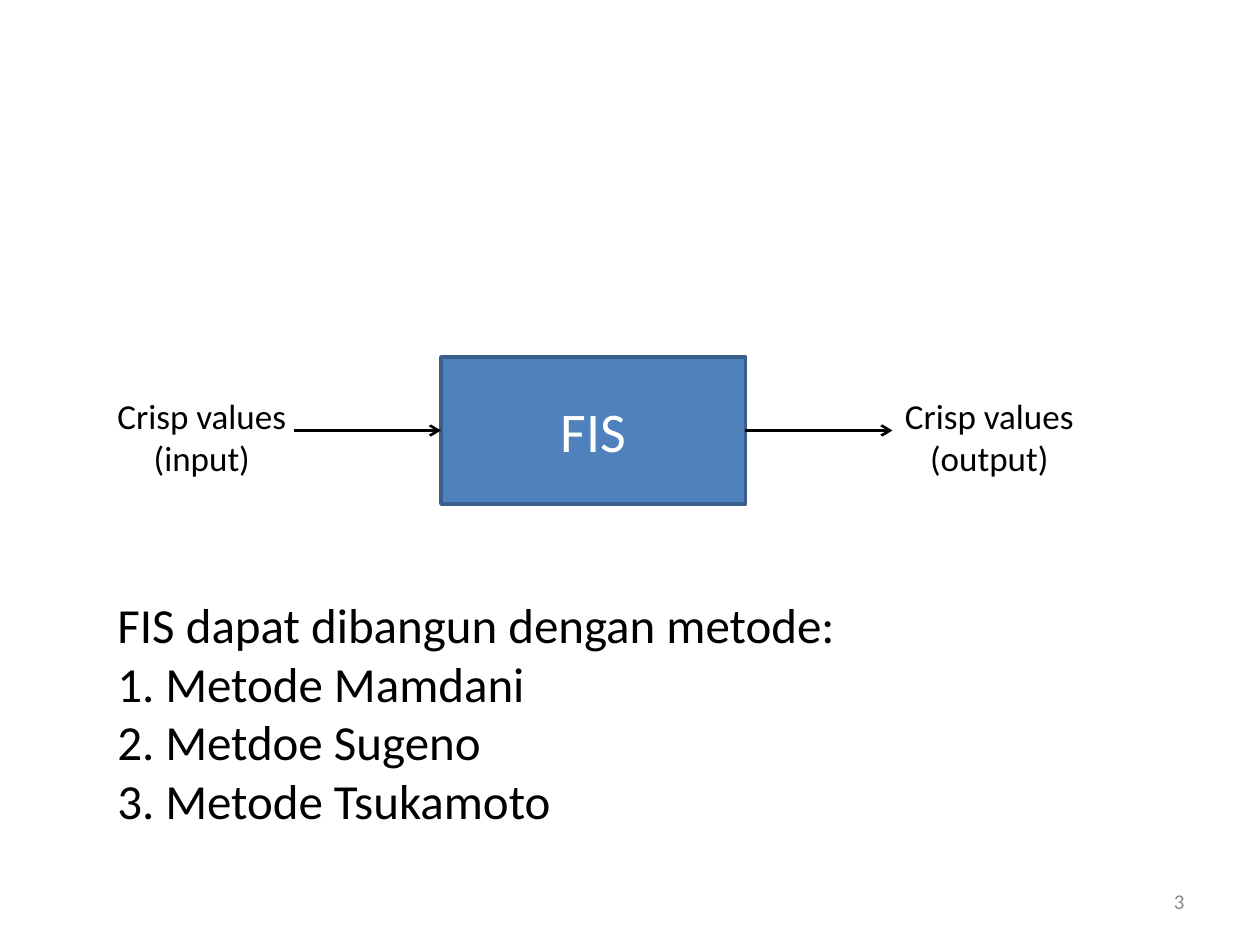
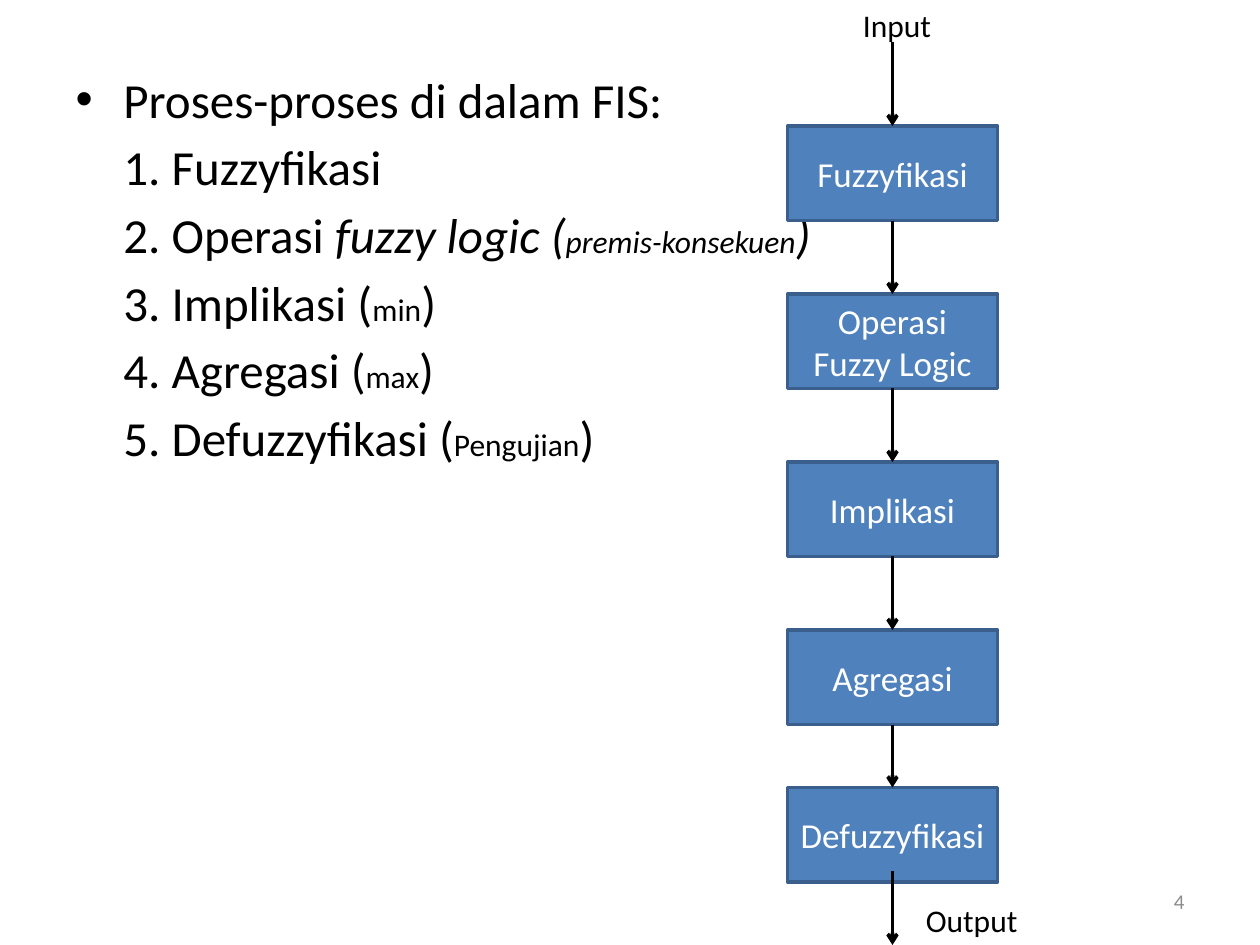
from lxml.etree import SubElement
from pptx import Presentation
from pptx.dml.color import RGBColor
from pptx.enum.shapes import MSO_CONNECTOR, MSO_SHAPE
from pptx.enum.text import MSO_ANCHOR, MSO_AUTO_SIZE, PP_ALIGN
from pptx.oxml.ns import qn
from pptx.util import Inches, Pt

FONT = "Calibri"
BLACK, WHITE, GREY = "000000", "FFFFFF", "8C8C8C"
BOX_FILL, BOX_LINE = "4F81BD", "3A5F8C"
HANGING = 0.38
TOP, LEFT, BOTTOM, RIGHT = range(4)

INPUT_LABEL = ["Crisp values", "(input)"]
OUTPUT_LABEL = ["Crisp values", "(output)"]
METHODS_HEADING = "FIS dapat dibangun dengan metode:"
METHODS = ["Metode Mamdani", "Metdoe Sugeno", "Metode Tsukamoto"]

# Each line is a list of (text, size, italic) runs.
PROCESS_LINES = [
    [("Proses-proses di dalam FIS:", 28, False)],
    [("1. Fuzzyfikasi", 28, False)],
    [("2. Operasi ", 28, False), ("fuzzy logic (", 28, True),
     ("premis-konsekuen", 18, True), (")", 28, True)],
    [("3. Implikasi (", 28, False), ("min", 18, False), (")", 28, False)],
    [("4. Agregasi (", 28, False), ("max", 18, False), (")", 28, False)],
    [("5. Defuzzyfikasi (", 28, False), ("Pengujian", 18, False), (")", 28, False)],
]
# Steps with their top edges, in twelfths of an inch.
STEPS = [("Fuzzyfikasi", 12), ("Operasi Fuzzy Logic", 28), ("Implikasi", 44),
         ("Agregasi", 60), ("Defuzzyfikasi", 75)]


def grid(*units):
    """Turn twelfths of an inch into lengths."""
    return [Inches(unit / 12) for unit in units]


def color(hex_string):
    return RGBColor.from_string(hex_string)


def add_run(paragraph, text, size, hex_string=BLACK, italic=False):
    run = paragraph.add_run()
    run.text = text
    run.font.name = FONT
    run.font.size = Pt(size)
    run.font.italic = italic
    run.font.color.rgb = color(hex_string)


def set_bullet(paragraph, tag, indent=-HANGING, **attributes):
    properties = paragraph._p.get_or_add_pPr()
    properties.set("marL", str(Inches(HANGING)))
    properties.set("indent", str(Inches(indent)))
    SubElement(properties, qn(tag), attributes)


def add_text(slide, place, lines, size, hex_string=BLACK, wrap=False):
    """Add a text box with one paragraph for each line; return its frame."""
    frame = slide.shapes.add_textbox(*place).text_frame
    frame.word_wrap = wrap
    for index, line in enumerate(lines):
        paragraph = frame.add_paragraph() if index else frame.paragraphs[0]
        add_run(paragraph, line, size, hex_string)
    return frame


def add_slide_number(slide, number):
    place = [Inches(length) for length in (7.17, 6.95, 2.33, 0.4)]
    frame = add_text(slide, place, [str(number)], 12, GREY, wrap=True)
    frame.vertical_anchor = MSO_ANCHOR.MIDDLE
    frame.paragraphs[0].alignment = PP_ALIGN.RIGHT


def add_box(slide, place, text, size):
    box = slide.shapes.add_shape(MSO_SHAPE.RECTANGLE, *place)
    box.shadow.inherit = False
    box.fill.solid()
    box.fill.fore_color.rgb = color(BOX_FILL)
    box.line.color.rgb = color(BOX_LINE)
    box.line.width = Pt(2)
    frame = box.text_frame
    frame.word_wrap = True
    frame.vertical_anchor = MSO_ANCHOR.MIDDLE
    frame.paragraphs[0].alignment = PP_ALIGN.CENTER
    add_run(frame.paragraphs[0], text, size, WHITE)
    return box


def add_arrow(slide, ends, width, start=None, finish=None):
    """Draw an arrow; start and finish are (box, side) pairs to join it to."""
    arrow = slide.shapes.add_connector(MSO_CONNECTOR.STRAIGHT, *ends)
    arrow.line.color.rgb = color(BLACK)
    arrow.line.width = Pt(width)
    SubElement(arrow.line._get_or_add_ln(), qn("a:tailEnd"), type="arrow")
    SubElement(arrow._element.spPr, qn("a:effectLst"))
    if start:
        arrow.begin_connect(*start)
    if finish:
        arrow.end_connect(*finish)


def build_overview(presentation):
    slide = presentation.slides.add_slide(presentation.slide_layouts[6])
    add_slide_number(slide, 3)
    left, top, width, height, reach = 42, 34, 29, 14, 14
    right, middle = left + width, top + height / 2
    box = add_box(slide, grid(left, top, width, height), "FIS", 32)
    add_arrow(slide, grid(left - reach, middle, left, middle), 1.5, finish=(box, LEFT))
    add_arrow(slide, grid(right, middle, right + reach, middle), 1.5, start=(box, RIGHT))

    for label_left, label in ((10, INPUT_LABEL), (85, OUTPUT_LABEL)):
        frame = add_text(slide, grid(label_left, 37, 18.6, 9.24), label, 20)
        frame.paragraphs[1].alignment = PP_ALIGN.CENTER

    methods = add_text(slide, grid(10, 56, 75.5, 23.9),
                       [METHODS_HEADING] + METHODS, 28, wrap=True)
    for paragraph in methods.paragraphs[1:]:
        set_bullet(paragraph, "a:buAutoNum", type="arabicPeriod")


def build_processes(presentation):
    slide = presentation.slides.add_slide(presentation.slide_layouts[1])
    title, body = slide.placeholders
    title._element.getparent().remove(title._element)
    body.left, body.top, body.width, body.height = grid(6, 6, 108, 74.4)
    frame = body.text_frame
    frame.auto_size = MSO_AUTO_SIZE.NONE
    for index, runs in enumerate(PROCESS_LINES):
        paragraph = frame.add_paragraph() if index else frame.paragraphs[0]
        if index:
            set_bullet(paragraph, "a:buNone", indent=0)
        else:
            set_bullet(paragraph, "a:buChar", char="•")
        paragraph.space_before = Pt(5 if index else 0)
        for text, size, italic in runs:
            add_run(paragraph, text, size, italic=italic)
    add_slide_number(slide, 4)

    left, width, height = 75, 20, 9
    center = left + width / 2
    boxes = [add_box(slide, grid(left, top, width, height), text, 20)
             for text, top in STEPS]
    add_arrow(slide, grid(center, 4, center, STEPS[0][1]), 2, finish=(boxes[0], TOP))
    for index in range(len(STEPS) - 1):
        ends = grid(center, STEPS[index][1] + height, center, STEPS[index + 1][1])
        add_arrow(slide, ends, 2, (boxes[index], BOTTOM), (boxes[index + 1], TOP))
    add_arrow(slide, grid(center, 83, center, 90), 2)
    add_text(slide, grid(81, 0, 9, 4.8), ["Input"], 18)
    add_text(slide, grid(87, 85.2, 11.28, 4.8), ["Output"], 18)


def main():
    presentation = Presentation()
    presentation.slide_width, presentation.slide_height = Inches(10), Inches(7.5)
    build_overview(presentation)
    build_processes(presentation)
    presentation.save("out.pptx")


if __name__ == "__main__":
    main()
